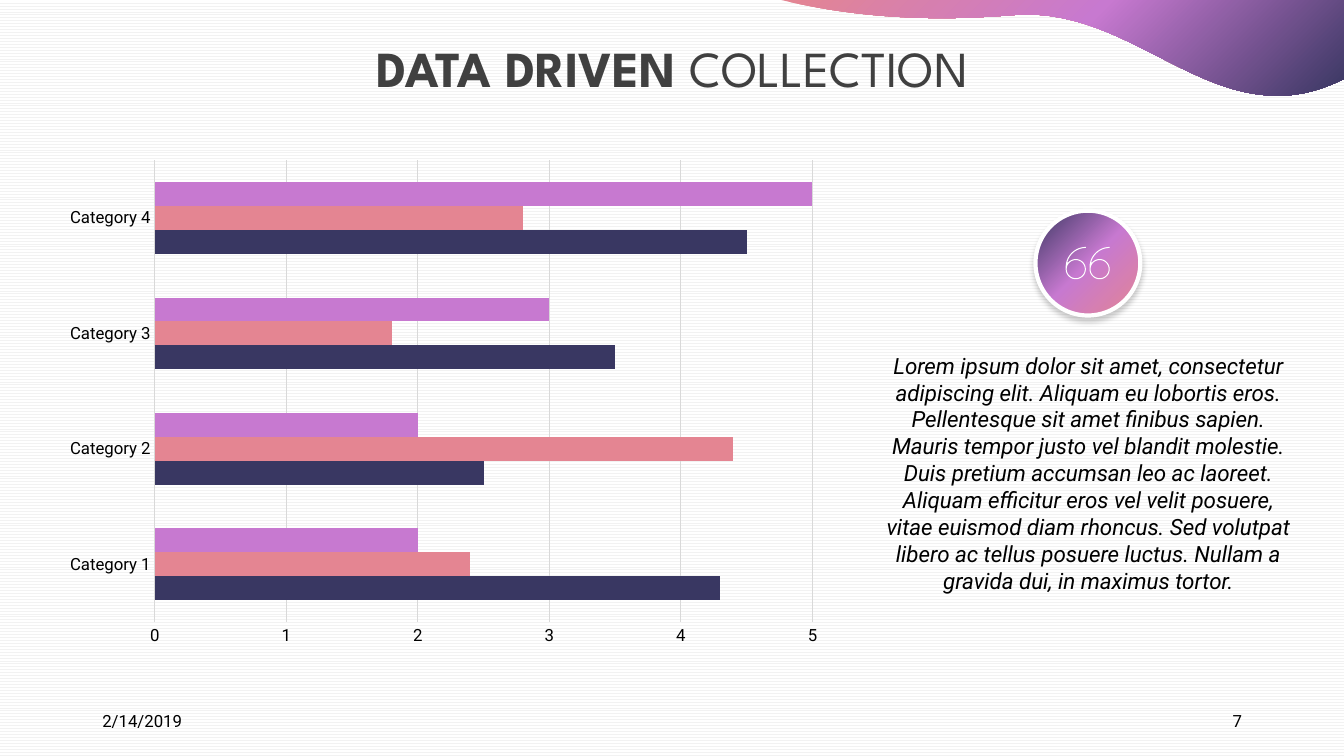
from copy import deepcopy
from math import cos, radians, sin

from lxml.etree import SubElement
from pptx import Presentation
from pptx.chart.data import CategoryChartData
from pptx.dml.color import RGBColor
from pptx.enum.chart import XL_CHART_TYPE, XL_TICK_MARK
from pptx.enum.dml import MSO_PATTERN
from pptx.enum.shapes import MSO_SHAPE
from pptx.enum.text import MSO_ANCHOR, MSO_AUTO_SIZE, PP_ALIGN
from pptx.oxml.ns import qn
from pptx.util import Inches, Pt

THEME = {
    "navy": RGBColor.from_string("393762"),
    "orchid": RGBColor.from_string("C779D0"),
    "coral": RGBColor.from_string("E48592"),
    "white": RGBColor.from_string("FFFFFF"),
    "stripe": RGBColor.from_string("F2F2F2"),
    "rule": RGBColor.from_string("D9D9D9"),
    "heading": RGBColor.from_string("404040"),
    "text": RGBColor.from_string("000000"),
    "heading_font": "League Spartan",
    "text_font": "Roboto",
    "heading_size": Pt(36),
    "body_size": Pt(16),
    "small_size": Pt(12),
}
COLUMNS, ROWS = 160, 90

presentation = Presentation()
presentation.slide_width = Inches(13.33)
presentation.slide_height = Inches(7.5)
cell = presentation.slide_height / ROWS
slide = presentation.slides.add_slide(presentation.slide_layouts[5])


def grid(*lengths):
    return [round(length * cell) for length in lengths]


def draw_outline(contours):
    outline = None
    for contour in contours:
        points = [grid(*point) for point in contour]
        if outline is None:
            outline = slide.shapes.build_freeform(*points[0], scale=1.0)
        else:
            outline.move_to(*points[0])
        outline.add_line_segments(points[1:], close=True)
    shape = outline.convert_to_shape()
    shape.shadow.inherit = False
    shape.line.fill.background()
    return shape


background = slide.background.fill
background.patterned()
background.pattern = MSO_PATTERN.ZIG_ZAG
background.fore_color.rgb = THEME["stripe"]
background.back_color.rgb = THEME["white"]

wave_curves = [
    [(COLUMNS, 9.36), (157.2, 10.8), (154.56, 11.4), (152.04, 11.4)],
    [(152.04, 11.4), (141.12, 11.4), (132.84, 0.72), (120.48, 1.8)],
    [(120.48, 1.8), (109.08, 2.76), (99.96, 1.68), (93, 0)],
]
wave_points = [(COLUMNS, 0)]
for curve in wave_curves:
    for step in range(25):
        t = step / 24
        weights = ((1 - t) ** 3, 3 * t * (1 - t) ** 2, 3 * t**2 * (1 - t), t**3)
        wave_points.append(
            [sum(w * point[axis] for w, point in zip(weights, curve)) for axis in (0, 1)]
        )
wave = draw_outline([wave_points])

title = slide.shapes.title
title.left, title.top, title.width, title.height = grid(3.5, 4.44, 153, 7.32)
frame = title.text_frame
frame.margin_left = frame.margin_right = frame.margin_top = frame.margin_bottom = 0
frame.word_wrap = True
frame.auto_size = MSO_AUTO_SIZE.SHAPE_TO_FIT_TEXT
frame.vertical_anchor = MSO_ANCHOR.TOP
paragraph = frame.paragraphs[0]
paragraph.alignment = PP_ALIGN.CENTER
for words, bold in (("DATA DRIVEN ", True), ("COLLECTION", False)):
    run = paragraph.add_run()
    run.text = words
    run.font.name = THEME["heading_font"]
    run.font.size = THEME["heading_size"]
    run.font.color.rgb = THEME["heading"]
    run.font.bold = bold

chart_data = CategoryChartData()
chart_data.categories = [f"Category {number}" for number in range(1, 5)]
chart_data.add_series("Series 1", (4.3, 2.5, 3.5, 4.5))
chart_data.add_series("Series 2", (2.4, 4.4, 1.8, 2.8))
chart_data.add_series("Series 3", (2, 2, 3, 5))
chart = slide.shapes.add_chart(
    XL_CHART_TYPE.BAR_CLUSTERED, *grid(6.48, 17.88, 92.64, 60.24), chart_data
).chart
chart.has_legend = False
chart.has_title = False
chart.font.name = THEME["text_font"]
chart.font.size = THEME["small_size"]
chart.font.color.rgb = THEME["text"]
plot = chart.plots[0]
plot.gap_width = 182
plot.vary_by_categories = False
for series, colour in zip(plot.series, ("navy", "coral", "orchid")):
    series.format.fill.solid()
    series.format.fill.fore_color.rgb = THEME[colour]
value_axis, category_axis = chart.value_axis, chart.category_axis
for axis in (value_axis, category_axis):
    axis.major_tick_mark = axis.minor_tick_mark = XL_TICK_MARK.NONE
value_axis.minimum_scale = 0
value_axis.maximum_scale = 5
value_axis.major_unit = 1
value_axis.format.line.fill.background()
for line in (value_axis.major_gridlines.format.line, category_axis.format.line):
    line.color.rgb = THEME["rule"]
    line.width = Pt(0.75)

quotation = (
    "Lorem ipsum dolor sit amet, consectetur adipiscing elit. Aliquam eu lobortis eros. "
    "Pellentesque sit amet finibus sapien. Mauris tempor justo vel blandit molestie. "
    "Duis pretium accumsan leo ac laoreet. Aliquam efficitur eros vel velit posuere, "
    "vitae euismod diam rhoncus. Sed volutpat libero ac tellus posuere luctus. "
    "Nullam a gravida dui, in maximus tortor."
)
texts = [
    ("2/14/2019", (11, 83.4, 36, 4.8), PP_ALIGN.LEFT, "small_size"),
    ("7", (113, 83.4, 36, 4.8), PP_ALIGN.RIGHT, "small_size"),
    (quotation, (105.48, 41.88, 48.12, 29.04), PP_ALIGN.CENTER, "body_size"),
]
for words, area, alignment, size in texts:
    frame = slide.shapes.add_textbox(*grid(*area)).text_frame
    frame.text = words
    frame.word_wrap = True
    frame.vertical_anchor = MSO_ANCHOR.MIDDLE
    if words == quotation:
        frame.margin_left = frame.margin_right = frame.margin_top = frame.margin_bottom = 0
        frame.vertical_anchor = MSO_ANCHOR.TOP
        frame.auto_size = MSO_AUTO_SIZE.SHAPE_TO_FIT_TEXT
    paragraph = frame.paragraphs[0]
    paragraph.alignment = alignment
    font = paragraph.runs[0].font
    font.name = THEME["text_font"]
    font.size = THEME[size]
    font.color.rgb = THEME["text"]
    font.italic = words == quotation

badge = slide.shapes.add_shape(MSO_SHAPE.OVAL, *grid(123.24, 25.08, 12.48, 12.48))
badge.line.color.rgb = THEME["white"]
badge.line.width = Pt(3)

gradient = ("navy", "orchid", "coral")
for shape, colours in ((wave, gradient[::-1]), (badge, gradient)):
    shape.fill.gradient()
    shape.fill.gradient_angle = 315
    stop_list = shape._element.spPr.find(qn("a:gradFill")).find(qn("a:gsLst"))
    stop_list.insert(1, deepcopy(stop_list[0]))
    for index, (stop, colour) in enumerate(zip(shape.fill.gradient_stops, colours)):
        stop.position = index / 2
        stop.color.rgb = THEME[colour]

badge.shadow.inherit = False
effects = badge._element.spPr.find(qn("a:effectLst"))
shadow = SubElement(
    effects, qn("a:outerShdw"), blurRad=str(Pt(4)), dist=str(Pt(3)), dir="5400000", rotWithShape="0"
)
shadow_colour = SubElement(shadow, qn("a:srgbClr"), val=str(THEME["text"]))
SubElement(shadow_colour, qn("a:alpha"), val="20000")

quote_contours = [
    [(1.2, -0.24, 2.4, 270, 180), (0, 0, 1.2, 180, -140), (1.2, -0.24, 2.28, 195, 270)],
    [(0, 0, 1.08, 0, 350)],
]
for quote_left in (128.04, 130.88):
    quote_mark = draw_outline([
        [
            (
                quote_left + x + radius * cos(radians(start + (end - start) * step / 35)),
                32.04 + y + radius * sin(radians(start + (end - start) * step / 35)),
            )
            for x, y, radius, start, end in arcs
            for step in range(36)
        ]
        for arcs in quote_contours
    ])
    quote_mark.fill.solid()
    quote_mark.fill.fore_color.rgb = THEME["white"]

presentation.save("out.pptx")
